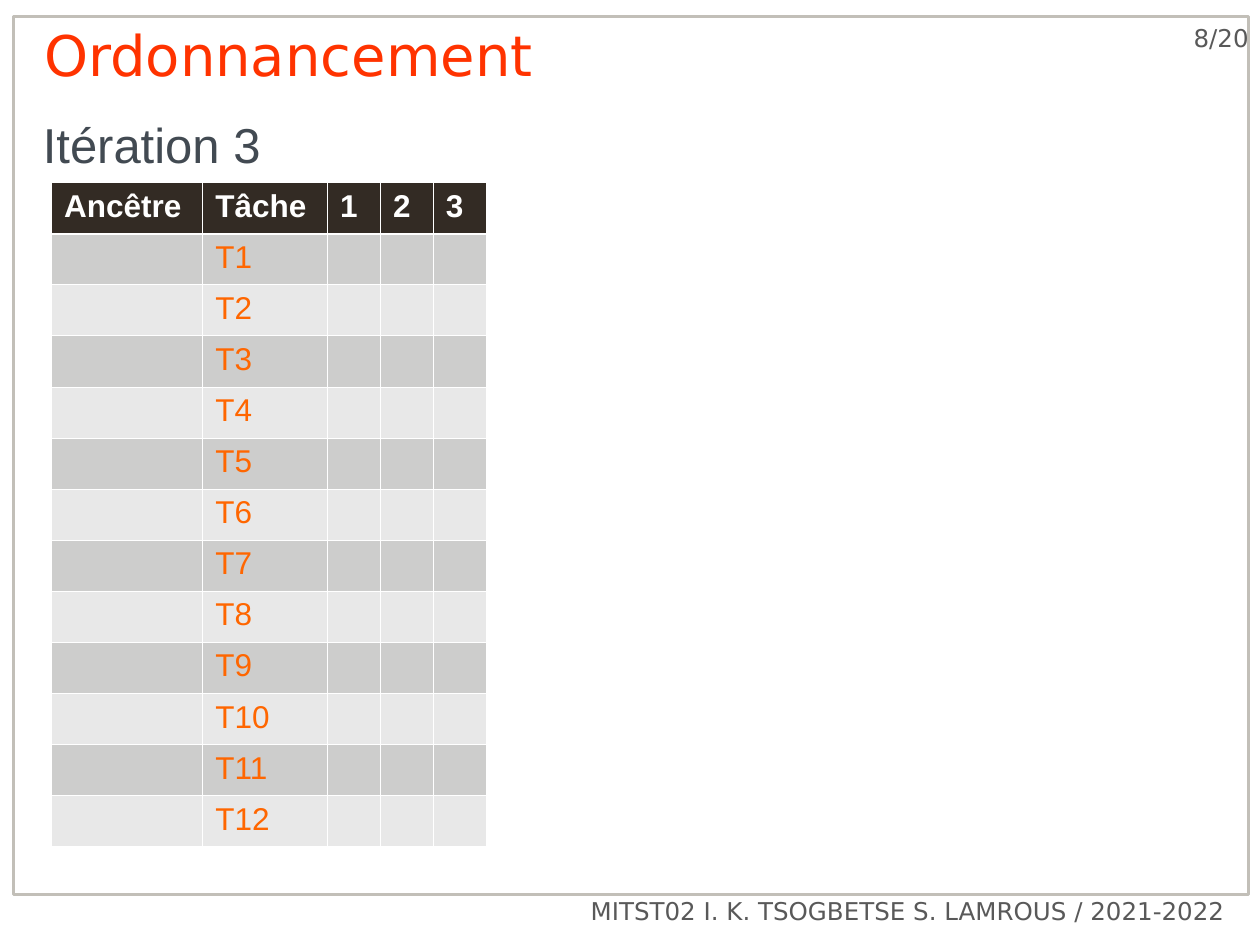
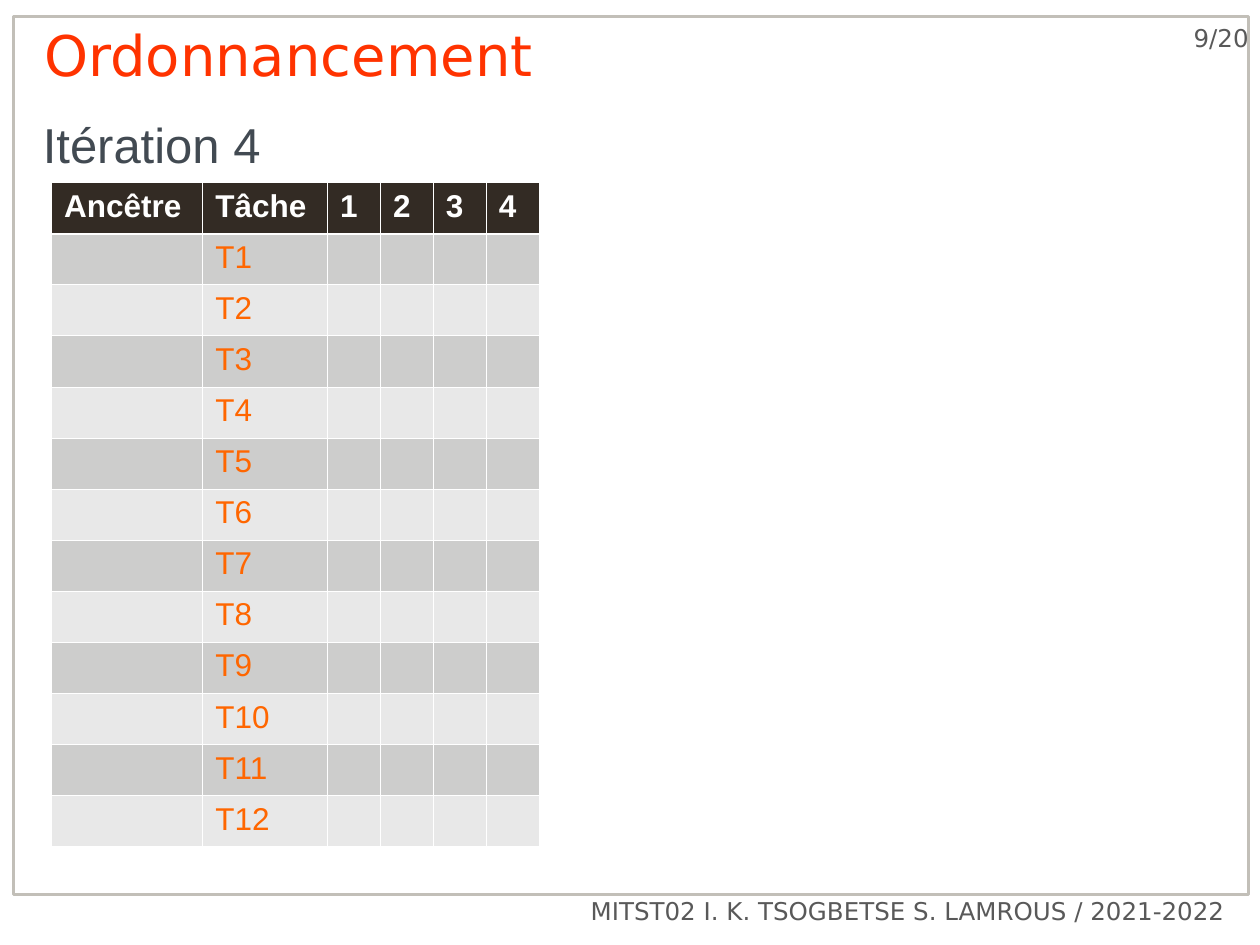
from dataclasses import dataclass

from lxml import etree
from pptx import Presentation, util as u
from pptx.dml.color import RGBColor
from pptx.enum import shapes, text
from pptx.oxml import ns


@dataclass(frozen=True)
class TextStyle:
    font: str
    size: int
    color: str
    bold: bool = False


@dataclass(frozen=True)
class Theme:
    title: TextStyle = TextStyle("DejaVu Sans", 32, "FF3300")
    heading: TextStyle = TextStyle("Arial", 28, "424A52")
    margin_note: TextStyle = TextStyle("DejaVu Sans", 14, "595959")
    table_header: TextStyle = TextStyle("Arial", 18, "FFFFFF", True)
    table_task: TextStyle = TextStyle("Arial", 18, "FF6600")
    frame: str = "C2BFB8"
    header_fill: str = "332B24"
    row_fills: tuple[str, str] = ("CDCDCC", "E8E8E8")
    cell_border: str = "FFFFFF"
    thin_border: float = 0.45
    thick_border: float = 1.47


@dataclass(frozen=True)
class Box:
    left: float
    top: float
    width: float
    height: float

    def lengths(self) -> tuple:
        return tuple(u.Inches(value) for value in (self.left, self.top, self.width, self.height))


@dataclass(frozen=True)
class IterationSlide:
    iteration: int
    page: int


THEME = Theme()
FRAME_BOX = Box(0.11, 0.13, 9.8, 6.97)
PAGE_BOX = Box(8.79, 0.13, 1.12, 0.4)
FOOTER_BOX = Box(2.9, 7.06, 6.92, 0.4)
TITLE_BOX = Box(0.35, 0.25, 8.14, 0.58)
HEADING_BOX = Box(0.24, 0.83, 9.52, 0.62)
TABLE_LEFT, TABLE_TOP, TABLE_HEIGHT = 0.41, 1.45, 5.27
ANCESTOR_WIDTH, TASK_WIDTH, ITERATION_WIDTH = 1.2, 0.99, 0.42
TASK_COUNT = 12
PAGE_COUNT = 20
FOOTER = "MITST02 I. K. TSOGBETSE S. LAMROUS / 2021-2022"
SLIDES = (IterationSlide(3, 8), IterationSlide(4, 9))


def add_run(paragraph, content: str, style: TextStyle) -> None:
    run = paragraph.add_run()
    run.text = content
    run.font.name = style.font
    run.font.size = u.Pt(style.size)
    run.font.bold = style.bold
    run.font.color.rgb = RGBColor.from_string(style.color)


def add_margin_note(slide, box: Box, content: str, right_inset: float) -> None:
    frame = slide.shapes.add_textbox(*box.lengths()).text_frame
    frame.word_wrap = True
    frame.margin_right = u.Inches(right_inset)
    paragraph = frame.paragraphs[0]
    paragraph.alignment = text.PP_ALIGN.RIGHT
    add_run(paragraph, content, THEME.margin_note)


def add_page_frame(slide, page: int) -> None:
    shape = slide.shapes.add_shape(shapes.MSO_SHAPE.RECTANGLE, *FRAME_BOX.lengths())
    shape.shadow.inherit = False
    shape.fill.background()
    shape.line.color.rgb = RGBColor.from_string(THEME.frame)
    shape.line.width = u.Pt(1.5)
    add_margin_note(slide, PAGE_BOX, f"{page}/{PAGE_COUNT}", 0)
    add_margin_note(slide, FOOTER_BOX, FOOTER, 0.1)


def fill_placeholder(shape, box: Box, content: str, style: TextStyle, anchor):
    shape.left, shape.top, shape.width, shape.height = box.lengths()
    frame = shape.text_frame
    frame.auto_size = text.MSO_AUTO_SIZE.NONE
    frame.word_wrap = True
    frame.vertical_anchor = anchor
    paragraph = frame.paragraphs[0]
    paragraph.alignment = text.PP_ALIGN.LEFT
    paragraph.space_before = u.Pt(0)
    add_run(paragraph, content, style)
    return frame


def add_title(slide) -> None:
    frame = fill_placeholder(slide.shapes.title, TITLE_BOX, "Ordonnancement",
                             THEME.title, text.MSO_ANCHOR.TOP)
    frame.margin_left = frame.margin_top = 0
    frame.paragraphs[0].line_spacing = u.Pt(THEME.title.size)


def add_heading(slide, iteration: int) -> None:
    frame = fill_placeholder(slide.placeholders[1], HEADING_BOX, f"Itération {iteration}",
                             THEME.heading, text.MSO_ANCHOR.MIDDLE)
    properties = frame.paragraphs[0]._p.get_or_add_pPr()
    properties.set("marL", "0")
    properties.set("indent", "0")
    etree.SubElement(properties, ns.qn("a:buNone"))


def style_cell(cell, fill: str, top: float, bottom: float) -> None:
    properties = cell._tc.get_or_add_tcPr()
    widths = {"L": THEME.thin_border, "R": THEME.thin_border, "T": top, "B": bottom}
    for side, width in widths.items():
        line = etree.SubElement(properties, ns.qn(f"a:ln{side}"), w=str(u.Pt(width)))
        solid = etree.SubElement(line, ns.qn("a:solidFill"))
        etree.SubElement(solid, ns.qn("a:srgbClr"), val=THEME.cell_border)
    cell.fill.solid()
    cell.fill.fore_color.rgb = RGBColor.from_string(fill)


def add_schedule(slide, iterations: int) -> None:
    widths = [ANCESTOR_WIDTH, TASK_WIDTH] + [ITERATION_WIDTH] * iterations
    headers = ["Ancêtre", "Tâche"] + [str(number + 1) for number in range(iterations)]
    box = Box(TABLE_LEFT, TABLE_TOP, sum(widths), TABLE_HEIGHT)
    table = slide.shapes.add_table(TASK_COUNT + 1, len(headers), *box.lengths()).table
    for column, width in zip(table.columns, widths):
        column.width = u.Inches(width)
    for row_index, row in enumerate(table.rows):
        row.height = u.Inches(TABLE_HEIGHT / (TASK_COUNT + 1))
        is_header = row_index == 0
        fill = THEME.header_fill if is_header else THEME.row_fills[(row_index - 1) % 2]
        top = THEME.thick_border if row_index == 1 else THEME.thin_border
        bottom = THEME.thick_border if is_header else THEME.thin_border
        for column_index, cell in enumerate(row.cells):
            style_cell(cell, fill, top, bottom)
            paragraph = cell.text_frame.paragraphs[0]
            if is_header:
                add_run(paragraph, headers[column_index], THEME.table_header)
            elif column_index == 1:
                add_run(paragraph, f"T{row_index}", THEME.table_task)


def main() -> None:
    presentation = Presentation()
    presentation.slide_width = u.Inches(10)
    presentation.slide_height = u.Inches(7.5)
    for content in SLIDES:
        slide = presentation.slides.add_slide(presentation.slide_layouts[1])
        add_page_frame(slide, content.page)
        add_title(slide)
        add_heading(slide, content.iteration)
        add_schedule(slide, content.iteration)
    presentation.save("out.pptx")


if __name__ == "__main__":
    main()
